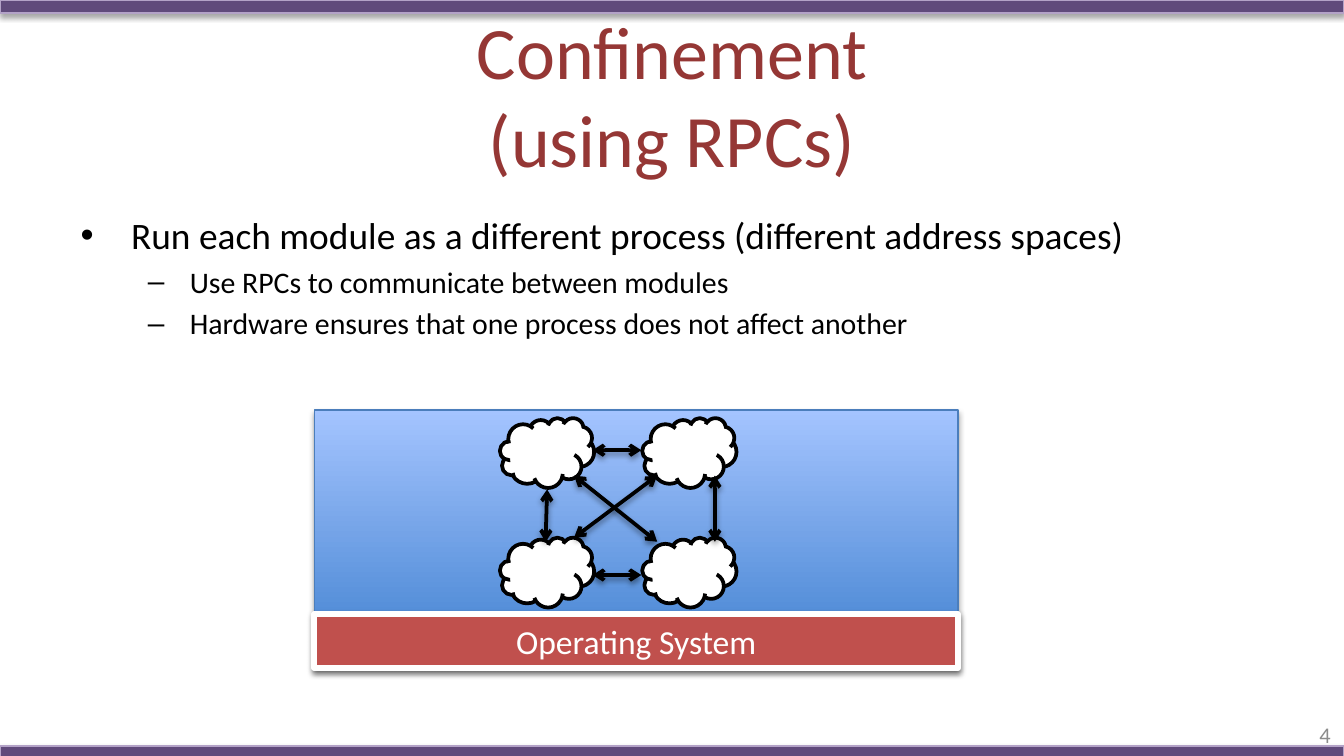
from dataclasses import dataclass
from itertools import product
from typing import Any, Optional

from lxml.etree import SubElement
from pptx import Presentation
from pptx.dml.color import RGBColor
from pptx.enum.shapes import MSO_CONNECTOR, MSO_SHAPE
from pptx.enum.text import MSO_ANCHOR, MSO_AUTO_SIZE, PP_ALIGN
from pptx.oxml.ns import qn
from pptx.util import Cm, Pt


@dataclass
class Box:
    left: float
    top: float
    width: float
    height: float

    def lengths(self) -> tuple:
        return Cm(self.left), Cm(self.top), Cm(self.width), Cm(self.height)


@dataclass
class Style:
    fill: Optional[str]
    line: str
    line_width: float
    shadow_alpha: int = 0  # percent, 0 for no shadow


@dataclass
class Arrow:
    x1: float
    y1: float
    x2: float
    y2: float


def colour(hex_value: str) -> RGBColor:
    return RGBColor.from_string(hex_value)


def set_attributes(target: Any, values: dict) -> None:
    for name, value in values.items():
        setattr(target, name, value)


def format_font(font: Any, size: float, hex_value: str) -> None:
    set_attributes(font, {"name": "Calibri", "size": Pt(size)})
    font.color.rgb = colour(hex_value)


def place(item: Any, box: Box) -> None:
    set_attributes(item, dict(zip(("left", "top", "width", "height"), box.lengths())))


def add_shadow(effects: Any, alpha: int) -> None:
    shadow = SubElement(effects, qn("a:outerShdw"), blurRad=str(Pt(3.1)),
                        dist=str(Pt(1.8)), dir="5400000", rotWithShape="0")
    black = SubElement(shadow, qn("a:srgbClr"), val="000000")
    SubElement(black, qn("a:alpha"), val=str(alpha * 1000))


def add_block(shapes: Any, kind: MSO_SHAPE, box: Box, style: Style) -> Any:
    block = shapes.add_shape(kind, *box.lengths())
    block.shadow.inherit = False
    if style.fill:
        block.fill.solid()
        block.fill.fore_color.rgb = colour(style.fill)
    block.line.color.rgb = colour(style.line)
    block.line.width = Pt(style.line_width)
    if style.shadow_alpha:
        add_shadow(block._element.spPr.find(qn("a:effectLst")), style.shadow_alpha)
    return block


def add_arrow(shapes: Any, arrow: Arrow) -> None:
    link = shapes.add_connector(MSO_CONNECTOR.STRAIGHT, Cm(arrow.x1), Cm(arrow.y1),
                                Cm(arrow.x2), Cm(arrow.y2))
    link.line.color.rgb = colour("000000")
    link.line.width = Pt(2)
    properties = link._element.spPr
    for end in ("a:headEnd", "a:tailEnd"):
        SubElement(properties.find(qn("a:ln")), qn(end), type="arrow")
    add_shadow(SubElement(properties, qn("a:effectLst")), 38)


BAR = Style("604A7B", "B3A2C7", 0.75, 35)
PROCESS_AREA = Style(None, "4B7EBC", 0.75, 35)
SYSTEM = Style("C0504D", "FFFFFF", 3, 38)
MODULE = Style("FFFFFF", "000000", 2)

BULLETS = [
    (0, 20, "Run each module as a different process (different address spaces)"),
    (1, 16, "Use RPCs to communicate between modules"),
    (1, 16, "Hardware ensures that one process does not affect another"),
]
RPC_ARROWS = [
    Arrow(10.85, 8.99, 12.42, 10.24),
    Arrow(10.85, 10.16, 12.42, 8.99),
    Arrow(13.51, 10.24, 13.51, 8.99),
    Arrow(10.31, 10.24, 10.34, 9.25),
    Arrow(12.12, 10.87, 11.2, 10.87),
    Arrow(12.12, 8.51, 11.2, 8.51),
]


def main() -> None:
    presentation = Presentation()
    presentation.slide_width, presentation.slide_height = Cm(25.4), Cm(14.29)
    slide = presentation.slides.add_slide(presentation.slide_layouts[1])
    shapes = slide.shapes

    # Bars at the top and bottom edges
    for top in (0, 14.1):
        add_block(shapes, MSO_SHAPE.RECTANGLE, Box(0, top, 25.4, 0.25), BAR)

    # Title
    title = shapes.title
    place(title, Box(1.27, 0.58, 22.86, 2.39))
    title.text_frame.text = "Confinement\v(using RPCs)"
    set_attributes(title.text_frame, {"auto_size": MSO_AUTO_SIZE.NONE,
                                      "vertical_anchor": MSO_ANCHOR.MIDDLE})
    heading = title.text_frame.paragraphs[0]
    heading.alignment = PP_ALIGN.CENTER
    for run in heading.runs:
        format_font(run.font, 39.6, "953735")

    # Bullet list
    body = slide.placeholders[1]
    place(body, Box(1.27, 3.89, 22.86, 9.42))
    body.text_frame.auto_size = MSO_AUTO_SIZE.NONE
    body.text_frame.text = "\n".join(text for _, _, text in BULLETS)
    for point, (level, size, _) in zip(body.text_frame.paragraphs, BULLETS):
        point.level = level
        format_font(point.runs[0].font, size, "000000")
    body.text_frame.paragraphs[0].space_before = Pt(0)

    # Slide number
    number = shapes.add_textbox(*Box(19.48, 13.51, 5.92, 0.76).lengths())
    set_attributes(number.text_frame, {"text": "4", "word_wrap": True,
                                       "vertical_anchor": MSO_ANCHOR.MIDDLE})
    number_line = number.text_frame.paragraphs[0]
    number_line.alignment = PP_ALIGN.RIGHT
    format_font(number_line.runs[0].font, 12, "8C8C8C")

    # Process area above the operating system
    area = add_block(shapes, MSO_SHAPE.RECTANGLE, Box(5.94, 7.75, 12.17, 4.88), PROCESS_AREA)
    area.fill.gradient()
    area.fill.gradient_angle = 90
    for stop, position, shade in zip(area.fill.gradient_stops, (0, 1), ("3F80CE", "A4C4FF")):
        stop.position = position
        stop.color.rgb = colour(shade)

    system = add_block(shapes, MSO_SHAPE.RECTANGLE, Box(5.94, 11.61, 12.17, 1.02), SYSTEM)
    set_attributes(system.text_frame, {"text": "Operating System",
                                       "vertical_anchor": MSO_ANCHOR.MIDDLE})
    system_label = system.text_frame.paragraphs[0]
    system_label.alignment = PP_ALIGN.CENTER
    format_font(system_label.runs[0].font, 18, "FFFFFF")

    # Modules and the calls between them
    diagram = shapes.add_group_shape().shapes
    for left, top in product((9.45, 12.14), (7.9, 10.16)):
        add_block(diagram, MSO_SHAPE.CLOUD, Box(left, top, 1.78, 1.32), MODULE)
    for arrow in RPC_ARROWS:
        add_arrow(diagram, arrow)

    presentation.save("out.pptx")


if __name__ == "__main__":
    main()
